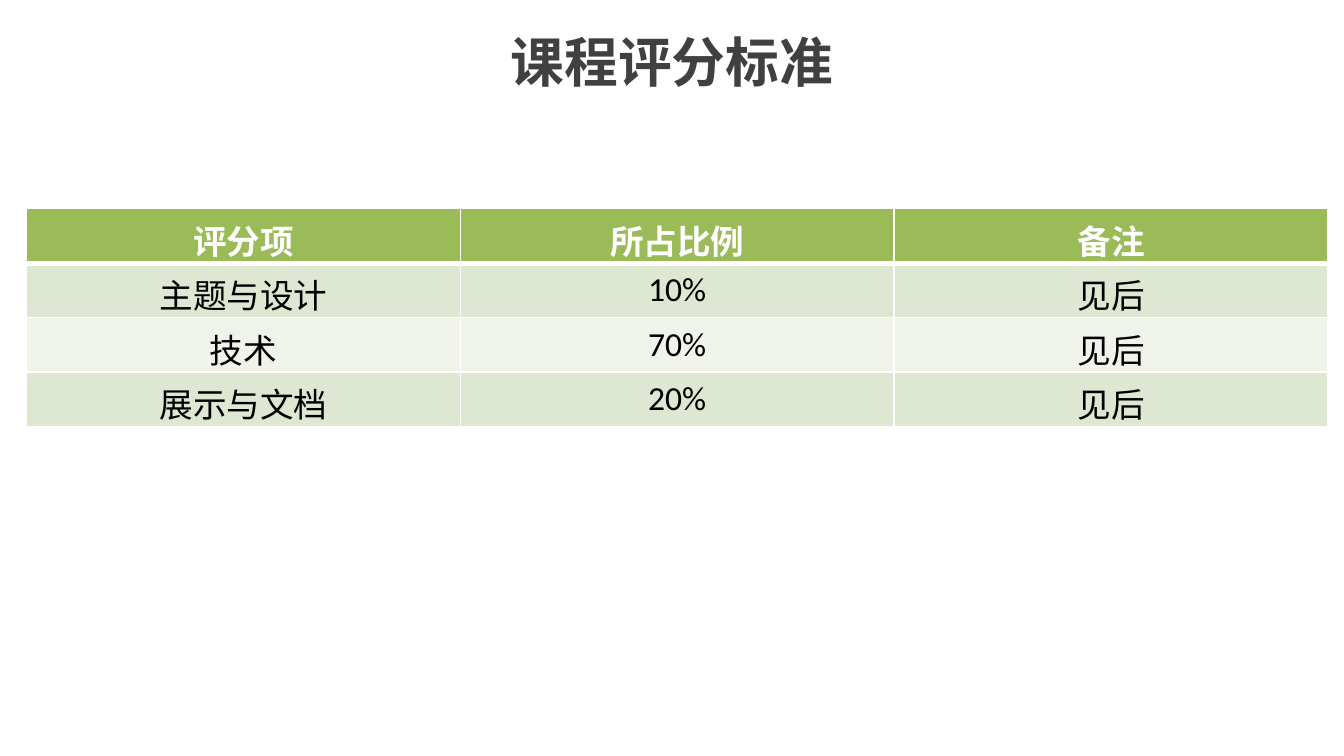
from pptx import Presentation
from pptx.dml.color import RGBColor
from pptx.enum.text import MSO_ANCHOR, PP_ALIGN
from pptx.oxml import parse_xml
from pptx.oxml.ns import nsdecls
from pptx.util import Cm, Pt


def tint(code):
    return RGBColor.from_string(code)


class Deck:
    """Holds the style and the current slide, and draws its elements."""

    face = "Calibri"
    head = {"fill": "9BBB59", "ink": "FFFFFF", "bold": True}
    bands = [
        {"fill": "DEE7D1", "ink": "000000", "bold": False},
        {"fill": "EFF3EA", "ink": "000000", "bold": False},
    ]

    def __init__(self, wide, high):
        self.show = Presentation()
        self.show.slide_width, self.show.slide_height = Cm(wide), Cm(high)
        self.slide = self.show.slides.add_slide(self.show.slide_layouts[6])

    def label(self, frame, text, size, ink, bold):
        line = frame.paragraphs[0]
        line.alignment = PP_ALIGN.CENTER
        run = line.add_run()
        run.text = text
        run.font.color.rgb = tint(ink)
        form = {"name": self.face, "size": Pt(size), "bold": bold}
        for key, value in form.items():
            setattr(run.font, key, value)

    def title(self, text, left, top, wide, high):
        box = self.slide.shapes.add_textbox(Cm(left), Cm(top), Cm(wide), Cm(high))
        form = {"word_wrap": True, "vertical_anchor": MSO_ANCHOR.MIDDLE}
        for key, value in form.items():
            setattr(box.text_frame, key, value)
        self.label(box.text_frame, text, 28.8, "404040", True)

    def edge(self, cell, side, width):
        cell._tc.get_or_add_tcPr().append(parse_xml(
            f'<a:ln{side} {nsdecls("a")} w="{Pt(width)}"><a:solidFill>'
            f'<a:srgbClr val="FFFFFF"/></a:solidFill></a:ln{side}>'))

    def table(self, rows, left, top, wide, step):
        count = len(rows)
        grid = self.slide.shapes.add_table(
            count, len(rows[0]), Cm(left), Cm(top), Cm(wide), Cm(step * count)).table
        for i, row in enumerate(rows):
            look = self.bands[(i - 1) % 2] if i else self.head
            edges = {"L": 1, "R": 1, "T": 3 if i == 1 else 1, "B": 1 if i else 3}
            for j, text in enumerate(row):
                cell = grid.cell(i, j)
                cell.vertical_anchor = MSO_ANCHOR.MIDDLE
                for side, width in edges.items():
                    self.edge(cell, side, width)
                cell.fill.solid()
                cell.fill.fore_color.rgb = tint(look["fill"])
                self.label(cell.text_frame, text, 18, look["ink"], look["bold"])


deck = Deck(25.4, 14.28)
deck.title("课程评分标准", 1.27, 0.36, 22.86, 1.6)
deck.table([
    ("评分项", "所占比例", "备注"),
    ("主题与设计", "10%", "见后"),
    ("技术", "70%", "见后"),
    ("展示与文档", "20%", "见后"),
], 0.5, 3.94, 24.6, 1.03)
deck.show.save("out.pptx")
